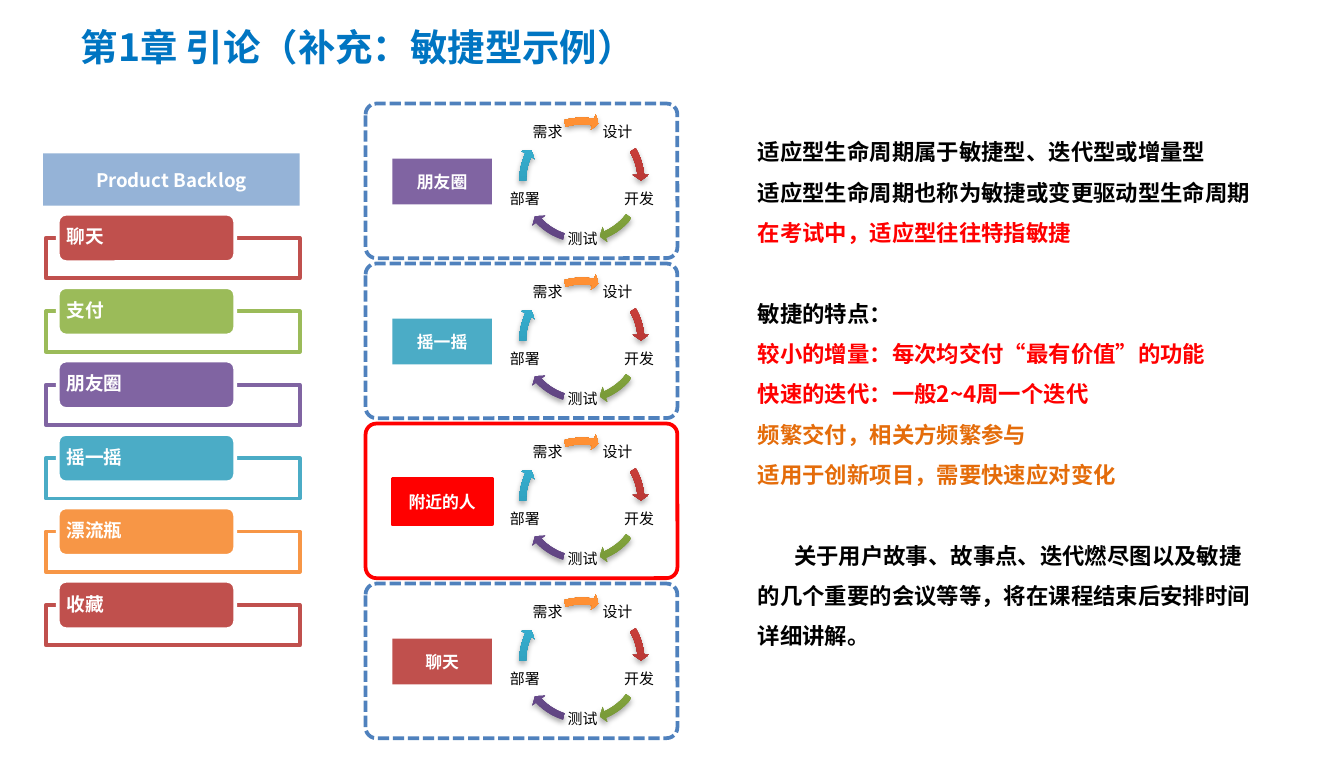
from dataclasses import dataclass

from lxml.etree import SubElement
from pptx import Presentation
from pptx.dml.color import RGBColor as RGB
from pptx.enum.dml import MSO_LINE
from pptx.enum.shapes import MSO_SHAPE as SHAPE
from pptx.enum.text import MSO_ANCHOR as ANCHOR, PP_ALIGN as ALIGN
from pptx.oxml.ns import qn
from pptx.util import Inches, Pt


@dataclass(frozen=True)
class Theme:
    font: str = "Noto Sans CJK SC"
    title_size: int = 20
    body_size: int = 12
    item_size: int = 10
    badge_size: int = 9
    step_size: int = 8
    title: str = "0075C2"
    header: str = "95B3D7"
    frame: str = "4F81BD"
    white: str = "FFFFFF"
    black: str = "000000"
    alert: str = "FF0000"
    accent: str = "E46C0A"
    red: str = "C0504D"
    green: str = "9BBB59"
    purple: str = "8064A2"
    teal: str = "4BACC6"
    orange: str = "F79646"


theme = Theme()


def write(paragraph, text, size, color, bold=True, align=ALIGN.LEFT):
    """Put text in a paragraph and set its font for Latin and East Asian script."""
    paragraph.text = text
    paragraph.alignment = align
    font = paragraph.font
    font.name, font.size, font.bold = theme.font, Pt(size), bold
    font.color.rgb = RGB.from_string(color)
    latin = paragraph._p.pPr.find(qn("a:defRPr")).find(qn("a:latin"))
    east_asian = latin.makeelement(qn("a:ea"), {"typeface": theme.font})
    latin.addnext(east_asian)


def add_box(shapes, kind, left, top, width, height, fill, line=None):
    """Add a flat shape, lengths in inches, with an optional 2 pt outline."""
    box = shapes.add_shape(kind, Inches(left), Inches(top), Inches(width), Inches(height))
    box.shadow.inherit = False
    box.fill.solid()
    box.fill.fore_color.rgb = RGB.from_string(fill)
    if line:
        box.line.color.rgb = RGB.from_string(line)
        box.line.width = Pt(2)
    else:
        box.line.fill.background()
    return box


prs = Presentation()
prs.slide_width, prs.slide_height = Inches(10), Inches(5.63)
slide = prs.slides.add_slide(prs.slide_layouts[5])

# Title
title = slide.shapes.title
title.left, title.top, title.width, title.height = (
    Inches(0.5), Inches(0.14), Inches(6.86), Inches(0.41))
title.text_frame.vertical_anchor = ANCHOR.MIDDLE
write(title.text_frame.paragraphs[0], "第1章 引论（补充：敏捷型示例）",
      theme.title_size, theme.title)

# Product backlog
header = add_box(slide.shapes, SHAPE.RECTANGLE, 0.32, 1.14, 1.91, 0.39, theme.header)
write(header.text_frame.paragraphs[0], "Product Backlog", theme.item_size, theme.white,
      align=ALIGN.CENTER)

backlog = [("聊天", theme.red), ("支付", theme.green), ("朋友圈", theme.purple),
           ("摇一摇", theme.teal), ("漂流瓶", theme.orange), ("收藏", theme.red)]
backlog_top, backlog_bottom = 1.59, 4.32
item_pitch = (backlog_bottom - backlog_top) / (len(backlog) - 1)
for row, (feature, color) in enumerate(backlog):
    top = backlog_top + row * item_pitch
    tray = add_box(slide.shapes, SHAPE.RECTANGLE, 0.34, top + 0.18, 1.89, 0.3,
                   theme.white, color)
    tray_color = tray._element.spPr.find(qn("a:solidFill"))[0]
    SubElement(tray_color, qn("a:alpha"), val="90000")
    item = add_box(slide.shapes, SHAPE.ROUNDED_RECTANGLE, 0.43, top, 1.32, 0.36,
                   color, theme.white)
    frame = item.text_frame
    frame.margin_left = frame.margin_right = Inches(0.05)
    frame.margin_top = frame.margin_bottom = 0
    write(frame.paragraphs[0], feature, theme.item_size, theme.white)
    frame.paragraphs[0].line_spacing = 0.9

# Iterations: step label, its offset in the frame, arrow end and start, gradient
steps = [
    ("设计", 1.74, 0.08, 212.93, 197.67, ("9C2F2D", "CB3E3A", "CE3B37")),
    ("开发", 1.90, 0.58, 40.14, 22.54, ("779737", "9BC348", "9DC746")),
    ("测试", 1.48, 0.88, 82.10, 64.50, ("5F4480", "7B58A6", "7C57A8")),
    ("部署", 1.05, 0.58, 122.97, 107.71, ("2A88A2", "37B1D2", "34B4D6")),
    ("需求", 1.22, 0.08, 168.65, 151.99, ("CC6E20", "FF9034", "FF9136")),
]
iterations = [("朋友圈", theme.purple), ("摇一摇", theme.teal),
              ("附近的人", theme.alert), ("聊天", theme.red)]
frame_left, frame_top, frame_pitch = 2.72, 0.77, 1.19
for row, (feature, color) in enumerate(iterations):
    top = frame_top + row * frame_pitch
    current = color == theme.alert
    shapes = slide.shapes.add_group_shape().shapes
    border = add_box(shapes, SHAPE.ROUNDED_RECTANGLE, frame_left, top, 2.32, 1.15,
                     theme.white, theme.alert if current else theme.frame)
    border.adjustments[0] = 0.07
    if not current:
        border.line.dash_style = MSO_LINE.SQUARE_DOT

    for step, dx, dy, arrow_end, arrow_start, gradient in steps:
        label = shapes.add_textbox(Inches(frame_left + dx), Inches(top + dy),
                                   Inches(0.27), Inches(0.27)).text_frame
        label.word_wrap = True
        label.vertical_anchor = ANCHOR.MIDDLE
        label.margin_left = label.margin_right = Inches(0.01)
        label.margin_top = label.margin_bottom = Inches(0.01)
        write(label.paragraphs[0], step, theme.step_size, theme.black, False, ALIGN.CENTER)
        label.paragraphs[0].line_spacing = 0.9

        arrow = add_box(shapes, SHAPE.CIRCULAR_ARROW, frame_left + 1.11, top + 0.07, 1, 1,
                        gradient[0])
        for index, value in enumerate((0.05, 3.36, arrow_end, arrow_start, 0.06)):
            arrow.adjustments[index] = value
        props = arrow._element.spPr
        solid = props.find(qn("a:solidFill"))
        blend = solid.makeelement(qn("a:gradFill"), {"rotWithShape": "1"})
        props.replace(solid, blend)
        stops = SubElement(blend, qn("a:gsLst"))
        for position, stop_color in zip((0, 80, 100), gradient):
            stop = SubElement(stops, qn("a:gs"), pos=str(position * 1000))
            SubElement(stop, qn("a:srgbClr"), val=stop_color)
        SubElement(blend, qn("a:lin"), ang=str(270 * 60000), scaled="0")
        shadow = SubElement(props.find(qn("a:effectLst")), qn("a:outerShdw"),
                            blurRad=str(Pt(3.1)), dist=str(Pt(1.8)),
                            dir=str(90 * 60000), rotWithShape="0")
        shade = SubElement(shadow, qn("a:srgbClr"), val=theme.black)
        SubElement(shade, qn("a:alpha"), val="35000")

    badge = add_box(shapes, SHAPE.RECTANGLE, frame_left + 0.2, top + 0.41, 0.74, 0.34,
                    color, theme.alert if current else None)
    badge.text_frame.margin_left = badge.text_frame.margin_right = Inches(0.05)
    write(badge.text_frame.paragraphs[0], feature, theme.badge_size, theme.white,
          align=ALIGN.CENTER)

# Notes on the adaptive life cycle: text, colour, whether a gap comes before
remarks = [
    ("适应型生命周期属于敏捷型、迭代型或增量型", theme.black, False),
    ("适应型生命周期也称为敏捷或变更驱动型生命周期", theme.black, False),
    ("在考试中，适应型往往特指敏捷", theme.alert, False),
    ("敏捷的特点：", theme.black, True),
    ("较小的增量：每次均交付“最有价值”的功能", theme.alert, False),
    ("快速的迭代：一般2~4周一个迭代", theme.alert, False),
    ("频繁交付，相关方频繁参与", theme.accent, False),
    ("适用于创新项目，需要快速应对变化", theme.accent, False),
    ("关于用户故事、故事点、迭代燃尽图以及敏捷的几个重要的会议等等，"
     "将在课程结束后安排时间详细讲解。", theme.black, True),
]
commentary = slide.shapes.add_textbox(Inches(5.54), Inches(0.88),
                                      Inches(3.94), Inches(4.31)).text_frame
commentary.word_wrap = True
for index, (remark, color, gap_before) in enumerate(remarks):
    paragraph = commentary.add_paragraph() if index else commentary.paragraphs[0]
    write(paragraph, remark, theme.body_size, color)
    paragraph.line_spacing = 1.5
    if gap_before:
        paragraph.space_before = Pt(21.6)
paragraph._p.pPr.set("indent", str(Inches(0.27)))

prs.save("out.pptx")
